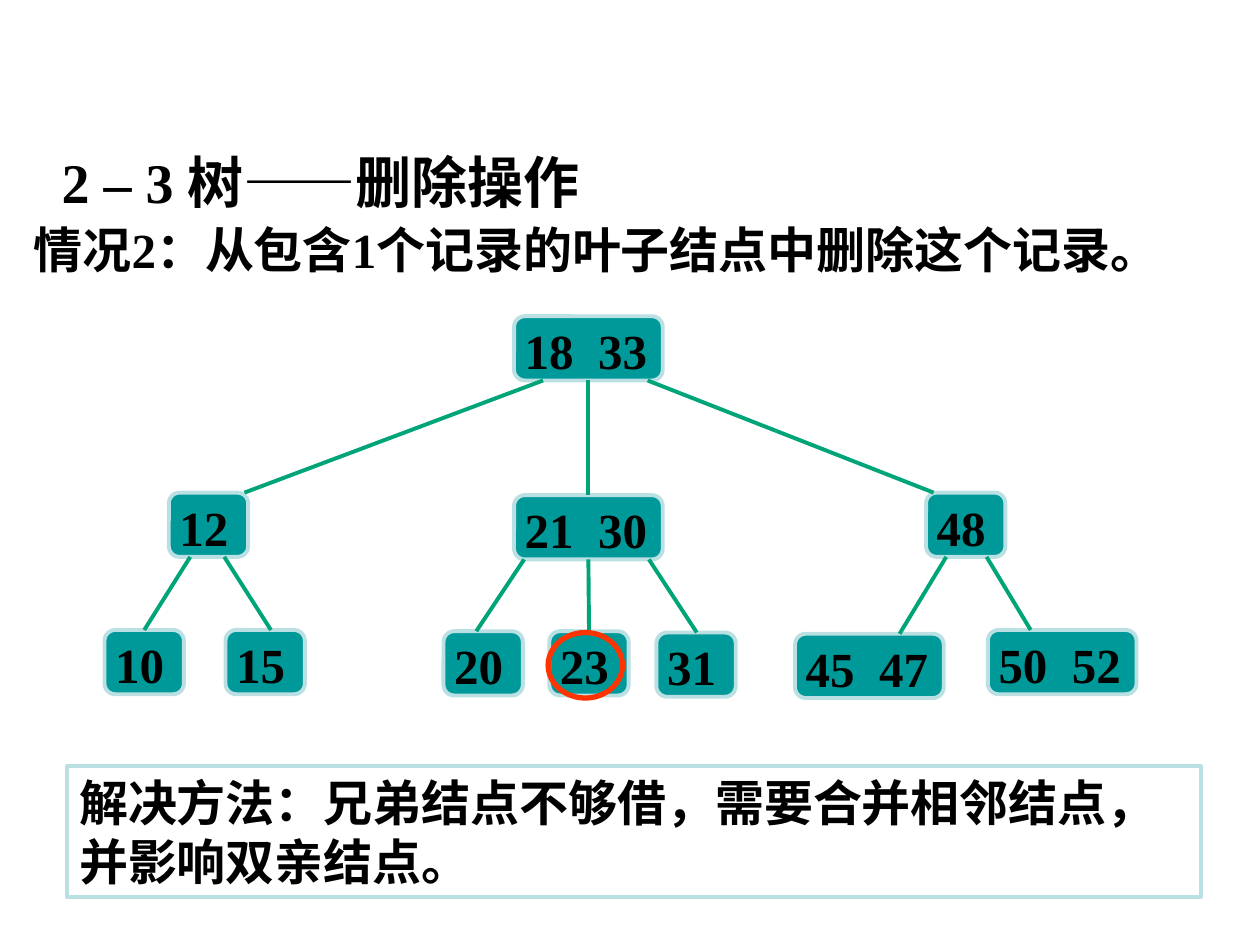
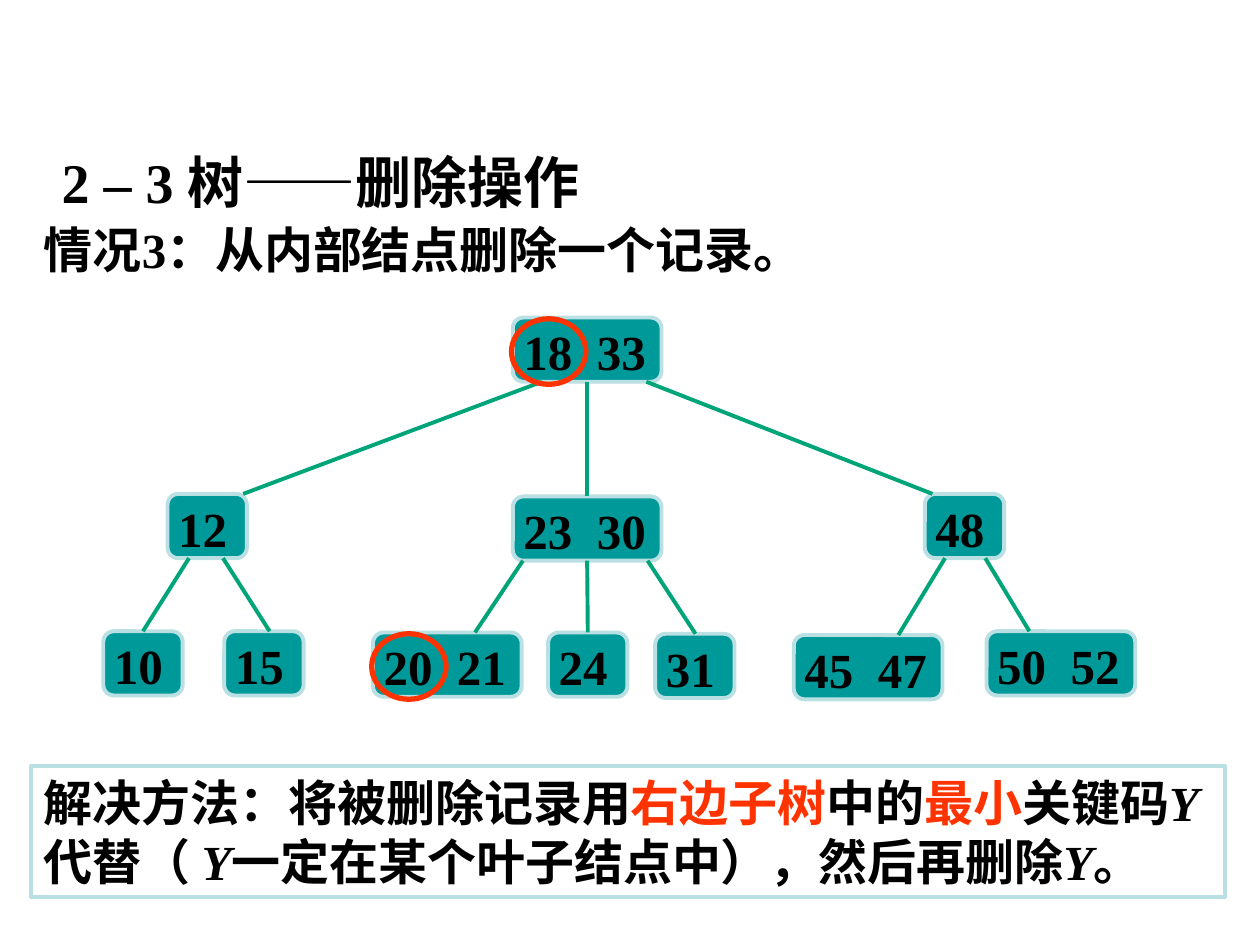
from pptx import Presentation
from pptx.dml.color import RGBColor
from pptx.enum.lang import MSO_LANGUAGE_ID as Language
from pptx.enum.shapes import MSO_CONNECTOR as Connector, MSO_SHAPE as Preset
from pptx.enum.text import MSO_ANCHOR as Anchor
from pptx.oxml.ns import qn
from pptx.util import Inches, Pt

TEAL, PALE, GREEN, RED, BLACK = "009999", "BBE0E3", "00A479", "FF3300", "000000"
TITLE = "2 – 3 树——删除操作"
TITLE_AREA = (0.39, 1.12, 4.57, 0.64)
CASE_TOP, CASE_HEIGHT = 1.69, 0.57
NOTE_TOP, NOTE_HEIGHT = 6.08, 1.04
NODE_WIDTHS = {1: 0.63, 2: 1.18}  # by number of keys
NODE_HEIGHT = 0.51
RING = (0.59, 0.52)
RING_SHIFT = (-0.01, 0.01)
TEXT_FORMAT = {"name": "Times New Roman", "size": Pt(28), "bold": True,
               "language_id": Language.SIMPLIFIED_CHINESE}
FRAME_MARGINS = (0.1, 0.05, 0.1, 0.05)
NODE_MARGINS = (0.06, 0.01, 0.02, 0.01)

# slot: (fixed edge, x of that edge, top)
SLOTS = {
    "root": ("left", 4.08, 2.51),
    "left": ("left", 1.34, 3.91),
    "middle": ("left", 4.08, 3.93),
    "right": ("left", 7.35, 3.91),
    "left 1": ("left", 0.83, 5.0),
    "left 2": ("left", 1.79, 5.0),
    "middle 1": ("right", 4.15, 5.01),
    "middle 2": ("left", 4.36, 5.01),
    "middle 3": ("left", 5.21, 5.02),
    "right 1": ("left", 6.31, 5.03),
    "right 2": ("left", 7.84, 5.0),
}
# parent, child, x at the parent, x at the child; None joins the middle of the side
EDGES = [
    ("root", "left", 4.31, 1.94),
    ("root", "middle", None, None),
    ("root", "right", 5.14, 7.41),
    ("left", "left 1", 1.51, None),
    ("left", "left 2", 1.78, 2.15),
    ("middle", "middle 1", 4.16, 3.78),
    ("middle", "middle 2", None, None),
    ("middle", "middle 3", 5.15, 5.53),
    ("right", "right 1", 7.51, 7.14),
    ("right", "right 2", 7.83, 8.18),
]
SHARED_KEYS = {
    "root": "18  33", "left": "12", "right": "48", "left 1": "10", "left 2": "15",
    "middle 3": "31", "right 1": "45  47", "right 2": "50  52",
}
CASES = [
    {
        "case": "情况2：从包含1个记录的叶子结点中删除这个记录。",
        "case_span": (0.17, 9.59),
        "note": [("解决方法：兄弟结点不够借，需要合并相邻结点，并影响双亲结点。", "")],
        "note_span": (0.53, 9.0),
        "keys": {"middle": "21  30", "middle 1": "20", "middle 2": "23"},
        "ringed": ["middle 2"],
        "tree_shift": (0, 0),
    },
    {
        "case": "情况3：从内部结点删除一个记录。",
        "case_span": (0.25, 6.49),
        "note": [
            ("解决方法：将被删除记录用", ""), ("右边子树", "red"), ("中的", ""),
            ("最小", "red"), ("关键码", ""), ("Y", "italic"), ("代替（ ", ""),
            ("Y", "italic"), ("一定在某个叶子结点中），然后再删除", ""),
            ("Y", "italic"), ("。", ""),
        ],
        "note_span": (0.25, 9.47),
        "keys": {"middle": "23  30", "middle 1": "20  21", "middle 2": "24"},
        "ringed": ["root", "middle 1"],
        "tree_shift": (-0.01, 0.01),
    },
]


def color(value):
    return RGBColor.from_string(value)


def set_all(target, values):
    for name, value in values.items():
        setattr(target, name, value)


def write(shape, runs, margins=FRAME_MARGINS, anchor=Anchor.TOP, wrap=True, **changes):
    """Fill a shape with one paragraph of (text, style) runs."""
    frame = shape.text_frame
    sides = ("margin_left", "margin_top", "margin_right", "margin_bottom")
    set_all(frame, dict(zip(sides, map(Inches, margins)),
                        vertical_anchor=anchor, word_wrap=wrap))
    paragraph = frame.paragraphs[0]
    paragraph.alignment = 1
    for text, style in runs:
        run = paragraph.add_run()
        run.text = text
        set_all(run.font, {**TEXT_FORMAT, **changes})
        if style == "italic":
            run.font.italic = True
        run.font.color.rgb = color(RED if style == "red" else BLACK)


def add_box(slide, preset, area, line, width=2.25, fill=None):
    shape = slide.shapes.add_shape(preset, *map(Inches, area))
    shape.shadow.inherit = False
    if fill:
        shape.fill.solid()
        shape.fill.fore_color.rgb = color(fill)
    else:
        shape.fill.background()
    shape.line.color.rgb = color(line)
    shape.line.width = Pt(width)
    return shape


def add_node(slide, slot, keys, shift):
    side, x, top = SLOTS[slot]
    width = NODE_WIDTHS[len(keys.split())]
    left = x - width if side == "right" else x
    area = (left + shift[0], top + shift[1], width, NODE_HEIGHT)
    node = add_box(slide, Preset.ROUNDED_RECTANGLE, area, PALE, fill=TEAL)
    write(node, [(keys, "")], NODE_MARGINS, wrap=False)
    return node


def add_edge(slide, parent, child, start_x, end_x, shift_x):
    start = Inches((start_x or 0) + shift_x), parent.top + parent.height
    end = Inches((end_x or 0) + shift_x), child.top
    edge = slide.shapes.add_connector(Connector.STRAIGHT, *start, *end)
    if start_x is None:
        edge.begin_connect(parent, 2)
    if end_x is None:
        edge.end_connect(child, 0)
    edge.line.color.rgb = color(GREEN)
    edge.line.width = Pt(2.25)
    properties = edge._element.spPr
    properties.append(properties.makeelement(qn("a:effectLst"), {}))


def add_tree(slide, case):
    shift = case["tree_shift"]
    nodes = {slot: add_node(slide, slot, keys, shift)
             for slot, keys in {**SHARED_KEYS, **case["keys"]}.items()}
    for parent, child, start_x, end_x in EDGES:
        add_edge(slide, nodes[parent], nodes[child], start_x, end_x, shift[0])
    for slot in case["ringed"]:
        node = nodes[slot]
        place = (node.left.inches + RING_SHIFT[0], node.top.inches + RING_SHIFT[1])
        add_box(slide, Preset.OVAL, place + RING, RED, width=3)


def add_case(presentation, case):
    slide = presentation.slides.add_slide(presentation.slide_layouts[6])
    title = slide.shapes.add_textbox(*map(Inches, TITLE_AREA))
    write(title, [(TITLE, "")], size=Pt(32))

    left, width = case["case_span"]
    heading = slide.shapes.add_textbox(
        *map(Inches, (left, CASE_TOP, width, CASE_HEIGHT)))
    write(heading, [(case["case"], "")], anchor=Anchor.MIDDLE, wrap=False)

    add_tree(slide, case)

    left, width = case["note_span"]
    note = add_box(slide, Preset.RECTANGLE, (left, NOTE_TOP, width, NOTE_HEIGHT), PALE)
    write(note, case["note"], anchor=Anchor.MIDDLE)


def main():
    presentation = Presentation()
    presentation.slide_width, presentation.slide_height = Inches(10), Inches(7.5)
    for case in CASES:
        add_case(presentation, case)
    presentation.save("out.pptx")


if __name__ == "__main__":
    main()
